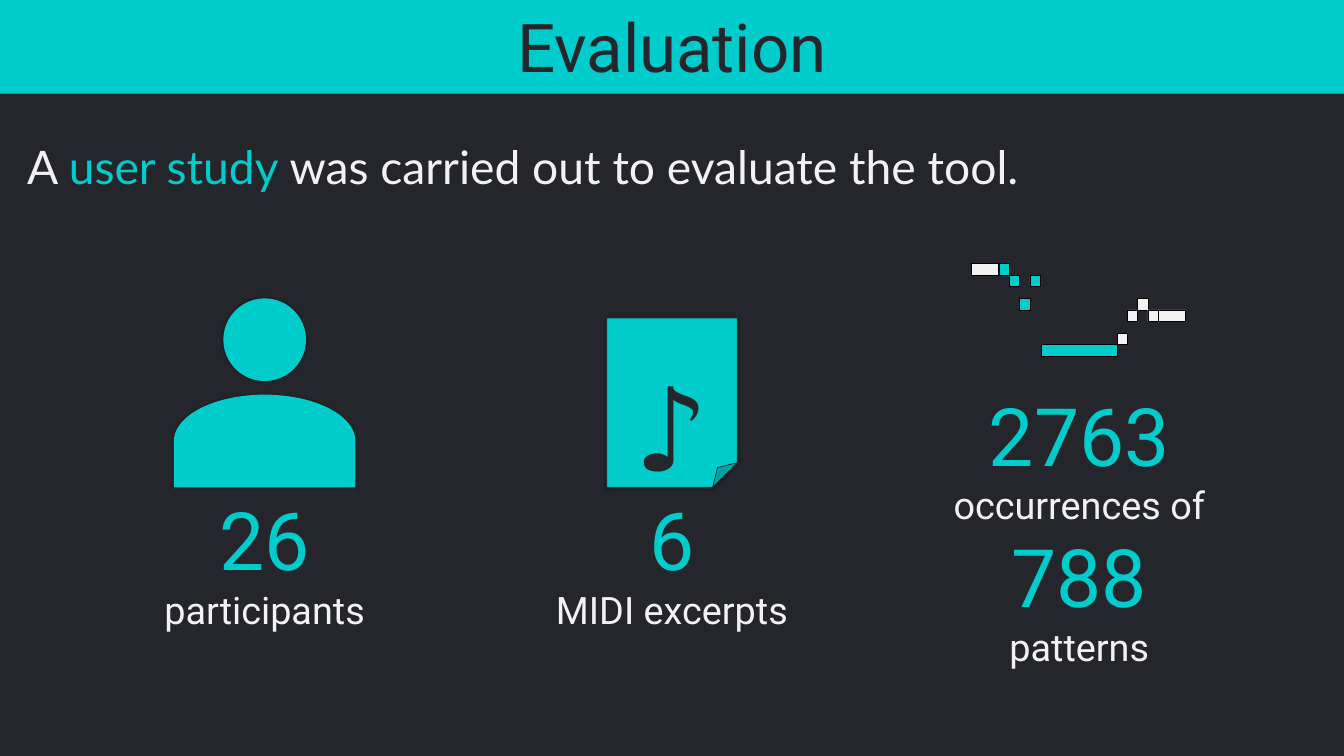
from dataclasses import dataclass
from itertools import accumulate
from typing import NamedTuple

from pptx import Presentation
from pptx import util as u
from pptx.dml.color import RGBColor
from pptx.enum import shapes, text
from pptx.oxml import parse_xml
from pptx.oxml.ns import nsdecls


@dataclass(frozen=True)
class Theme:
    dark: str = "25262C"
    accent: str = "00CCCC"
    light: str = "F2F2F2"
    outline: str = "000000"
    page_edge: str = "212221"
    heading: str = "Roboto"
    body: str = "Lato"
    symbol: str = "Calibri"
    title_size: int = 96
    body_size: int = 66
    figure_size: int = 115
    label_size: int = 54
    symbol_size: int = 166


class Box(NamedTuple):
    left: float
    top: float
    width: float
    height: float

    def emu(self) -> list[int]:
        return [u.Inches(length) for length in self]


class Span(NamedTuple):
    words: str
    size: int
    color: str
    font: str


class Note(NamedTuple):
    row: int
    duration: float
    width: float
    color: str


class Finding(NamedTuple):
    column: int
    top: float
    height: float
    lines: list[list[Span]]


THEME = Theme()
WIDTH, HEIGHT = 26.66, 15
COLUMN_PITCH = 8.08
COLUMN_WIDTH = 5.67
NOTE_ROW = 0.23


def centered(column: int, top: float, width: float, height: float) -> Box:
    center = WIDTH / 2 + (column - 1) * COLUMN_PITCH
    return Box(center - width / 2, top, width, height)


def figure(words: str) -> Span:
    return Span(words, THEME.figure_size, THEME.accent, THEME.heading)


def label(words: str) -> Span:
    return Span(words, THEME.label_size, THEME.light, THEME.heading)


def write(frame, lines: list[list[Span]], frame_format: dict, paragraph_format: dict) -> None:
    for name, value in frame_format.items():
        setattr(frame, name, value)
    for index, spans in enumerate(lines):
        paragraph = frame.add_paragraph() if index else frame.paragraphs[0]
        for name, value in paragraph_format.items():
            setattr(paragraph, name, value)
        for span in spans:
            run = paragraph.add_run()
            run.text = span.words
            for name, value in {"size": u.Pt(span.size), "name": span.font}.items():
                setattr(run.font, name, value)
            run.font.color.rgb = RGBColor.from_string(span.color)


def add_text(slide, box: Box, lines: list[list[Span]], paragraph_format: dict, **insets) -> None:
    frame = slide.shapes.add_textbox(*box.emu()).text_frame
    frame_format = {"word_wrap": True, "auto_size": text.MSO_AUTO_SIZE.SHAPE_TO_FIT_TEXT}
    write(frame, lines, frame_format | insets, paragraph_format)


def add_solid(slide, kind, box: Box, fill: str, line: str = "", glow: bool = False):
    solid = slide.shapes.add_shape(kind, *box.emu())
    solid.shadow.inherit = False
    solid.fill.solid()
    solid.fill.fore_color.rgb = RGBColor.from_string(fill)
    if line:
        solid.line.color.rgb = RGBColor.from_string(line)
        solid.line.width = u.Pt(1)
    else:
        solid.line.fill.background()
    if glow:
        effects = solid._element.spPr.find("{*}effectLst")
        effects.append(parse_xml(
            f'<a:outerShdw {nsdecls("a")} blurRad="{u.Pt(5)}" dist="0" dir="0" algn="ctr" '
            f'rotWithShape="0"><a:srgbClr val="{THEME.outline}"><a:alpha val="40000"/>'
            '</a:srgbClr></a:outerShdw>'))
    return solid


def add_person(slide, column: int) -> None:
    kind = shapes.MSO_SHAPE
    add_solid(slide, kind.OVAL, centered(column, 5.92, 1.64, 1.64), THEME.accent, glow=True)
    torso = add_solid(slide, kind.FLOWCHART_DELAY, centered(column, 6.95, 1.84, 3.6),
                      THEME.accent, glow=True)
    torso.rotation = 270


def add_music_page(slide, column: int) -> None:
    page = add_solid(slide, shapes.MSO_SHAPE.FOLDED_CORNER, centered(column, 6.31, 2.59, 3.36),
                     THEME.accent, THEME.page_edge, glow=True)
    fold = parse_xml(f'<a:gd {nsdecls("a")} name="adj" fmla="val 18900"/>')
    page._element.spPr.find("{*}prstGeom/{*}avLst").append(fold)
    symbol = Span("♪", THEME.symbol_size, THEME.dark, THEME.symbol)
    write(page.text_frame, [[symbol]], {"vertical_anchor": text.MSO_ANCHOR.MIDDLE},
          {"alignment": text.PP_ALIGN.CENTER, "line_spacing": 1.5})


def add_melody(slide, left: float, top: float, notes: list[Note]) -> None:
    starts = accumulate((note.duration for note in notes), initial=left)
    for start, note in zip(starts, notes):
        box = Box(start, top + note.row * NOTE_ROW, note.width, NOTE_ROW)
        add_solid(slide, shapes.MSO_SHAPE.RECTANGLE, box, note.color, THEME.outline)


MELODY = [
    Note(0, 0.56, 0.54, THEME.light),
    Note(0, 0.2, 0.2, THEME.accent),
    Note(1, 0.2, 0.2, THEME.accent),
    Note(3, 0.2, 0.2, THEME.accent),
    Note(1, 0.23, 0.2, THEME.accent),
    Note(7, 1.5, 1.5, THEME.accent),
    Note(6, 0.21, 0.2, THEME.light),
    Note(4, 0.2, 0.2, THEME.light),
    Note(3, 0.2, 0.2, THEME.light),
    Note(4, 0.21, 0.2, THEME.light),
    Note(4, 0.54, 0.54, THEME.light),
]

FINDINGS = [
    Finding(0, 9.67, 2.95, [[figure("26")], [label("participants")]]),
    Finding(1, 9.67, 2.95, [[figure("6")], [label("MIDI excerpts")]]),
    Finding(2, 7.6, 5.79, [[figure("2763")], [label("occurrences of "), figure("788")],
                           [label("patterns")]]),
]


def main() -> None:
    deck = Presentation()
    deck.slide_width, deck.slide_height = u.Inches(WIDTH), u.Inches(HEIGHT)
    slide = deck.slides.add_slide(deck.slide_layouts[6])
    slide.background.fill.solid()
    slide.background.fill.fore_color.rgb = RGBColor.from_string(THEME.dark)
    center = {"alignment": text.PP_ALIGN.CENTER}

    add_solid(slide, shapes.MSO_SHAPE.RECTANGLE, Box(0, -0.04, WIDTH, 1.9), THEME.accent)
    title = Span("Evaluation", THEME.title_size, THEME.dark, THEME.heading)
    add_text(slide, Box(0, 0.05, WIDTH, 1.72), [[title]], center)

    statement = [
        Span(words, THEME.body_size, color, THEME.body)
        for words, color in (
            ("A ", THEME.light),
            ("user study", THEME.accent),
            (" was carried out to evaluate the tool.", THEME.light),
        )
    ]
    side, edge = u.Inches(0.24), u.Inches(0.12)
    add_text(slide, Box(0.3, 2.41, 26.05, 1.52), [statement], {"line_spacing": 1.2},
             margin_left=side, margin_right=side, margin_top=edge, margin_bottom=edge)

    add_person(slide, 0)
    add_music_page(slide, 1)
    add_melody(slide, 19.27, 5.23, MELODY)
    for finding in FINDINGS:
        box = centered(finding.column, finding.top, COLUMN_WIDTH, finding.height)
        add_text(slide, box, finding.lines, center)

    deck.save("out.pptx")


if __name__ == "__main__":
    main()
